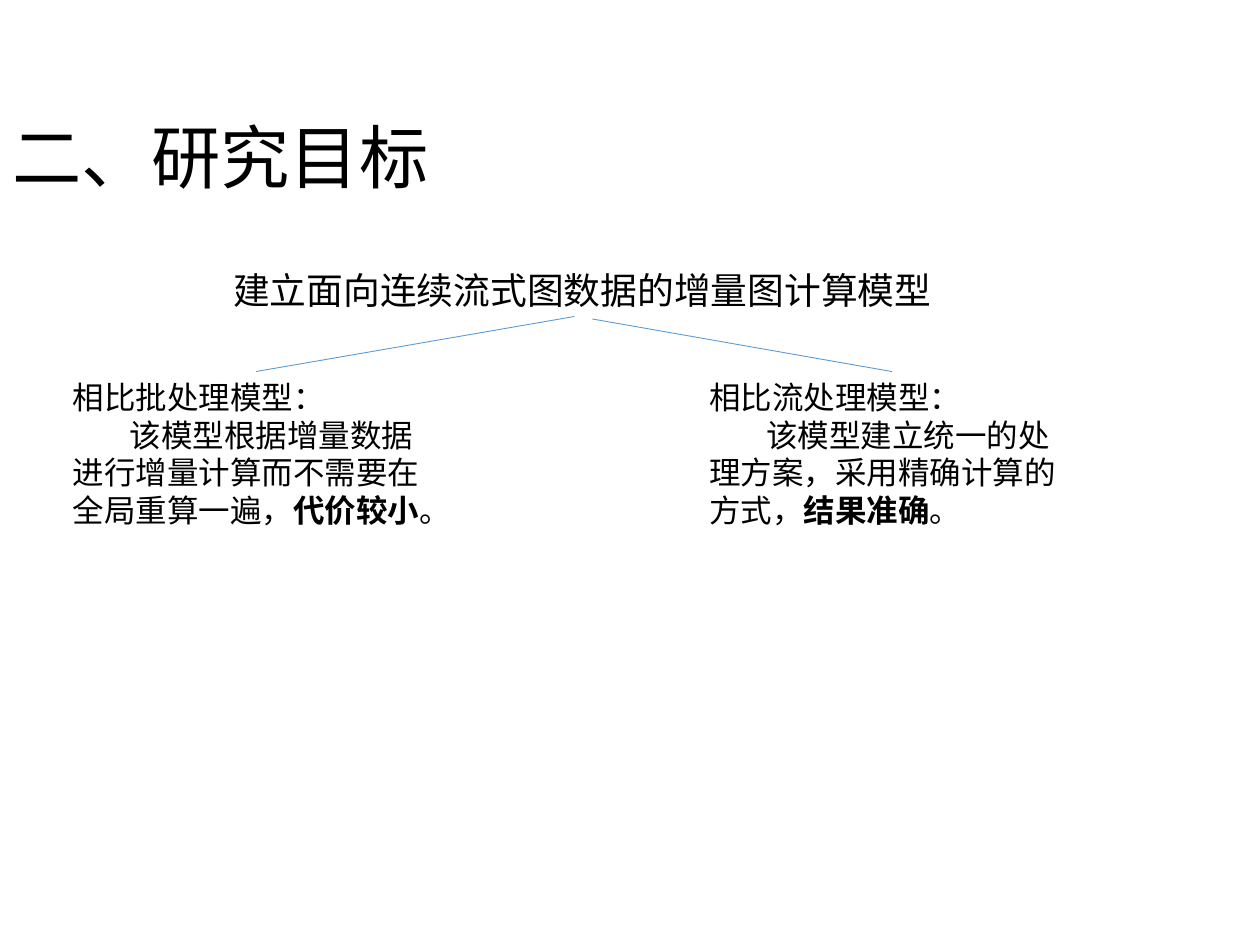
from dataclasses import dataclass

from lxml import etree
from pptx import Presentation
from pptx.dml.color import RGBColor
from pptx.enum.shapes import MSO_CONNECTOR
from pptx.enum.text import MSO_ANCHOR, MSO_AUTO_SIZE, PP_ALIGN
from pptx.oxml.ns import qn
from pptx.util import Cm, Pt

STRAIGHT = MSO_CONNECTOR.STRAIGHT
MIDDLE = MSO_ANCHOR.MIDDLE
NO_FIT = MSO_AUTO_SIZE.NONE
LEFT = PP_ALIGN.LEFT
TITLE_ONLY = 5


@dataclass(frozen=True)
class Theme:
    font: str = "Calibri"
    text: RGBColor = RGBColor(0x00, 0x00, 0x00)
    line: RGBColor = RGBColor(0x5B, 0x9B, 0xD5)
    title_size: float = 39.6
    goal_size: float = 21
    body_size: float = 18
    line_width: float = 0.5
    indent: float = 1.15


class SlideBuilder:
    def __init__(self, prs, theme):
        self.theme = theme
        self.s = prs.slides.add_slide(prs.slide_layouts[TITLE_ONLY])

    def style(self, p, size):
        p.alignment = LEFT
        for r in p.runs:
            r.font.name = self.theme.font
            r.font.size = Pt(size)
            r.font.color.rgb = self.theme.text

    def title(self, text, x, y, w, h):
        sp = self.s.shapes.title
        sp.left, sp.top, sp.width, sp.height = Cm(x), Cm(y), Cm(w), Cm(h)
        tf = sp.text_frame
        tf.text = text
        tf.auto_size = NO_FIT
        tf.vertical_anchor = MIDDLE
        p = tf.paragraphs[0]
        p.line_spacing = 0.9
        self.style(p, self.theme.title_size)

    def text(self, text, x, y, w, h, size):
        sp = self.s.shapes.add_textbox(Cm(x), Cm(y), Cm(w), Cm(h))
        tf = sp.text_frame
        tf.word_wrap = True
        tf.text = text
        self.style(tf.paragraphs[0], size)
        return tf

    def comparison(self, heading, body, emphasis, x, y, w, h):
        size = self.theme.body_size
        tf = self.text(heading, x, y, w, h, size)
        p = tf.add_paragraph()
        p.text = body
        r = p.add_run()
        r.text = emphasis
        r.font.bold = True
        p.add_run().text = "。"
        self.style(p, size)
        p._p.get_or_add_pPr().set("indent", str(Cm(self.theme.indent)))

    def line(self, x1, y1, x2, y2):
        sp = self.s.shapes.add_connector(STRAIGHT, Cm(x1), Cm(y1), Cm(x2), Cm(y2))
        sp.line.color.rgb = self.theme.line
        sp.line.width = Pt(self.theme.line_width)
        etree.SubElement(sp._element.spPr, qn("a:effectLst"))


def main():
    prs = Presentation()
    prs.slide_width, prs.slide_height = Cm(25.4), Cm(19.05)
    theme = Theme()
    slide = SlideBuilder(prs, theme)

    slide.title("二、研究目标", 0, 2.34, 21.9, 1.8)
    slide.text("建立面向连续流式图数据的增量图计算模型",
               4.45, 5.28, 14.96, 1.14, theme.goal_size)

    comparisons = [
        (1.22, "相比批处理模型：",
         "该模型根据增量数据进行增量计算而不需要在全局重算一遍，", "代价较小"),
        (14.05, "相比流处理模型：",
         "该模型建立统一的处理方案，采用精确计算的方式，", "结果准确"),
    ]
    top = 7.49
    for x, heading, body, emphasis in comparisons:
        slide.comparison(heading, body, emphasis, x, top, 7.85, 3.33)

    for x1, y1, x2 in [(11.58, 6.38, 5.16), (11.94, 6.43, 17.98)]:
        slide.line(x1, y1, x2, top)

    prs.save("out.pptx")


if __name__ == "__main__":
    main()
